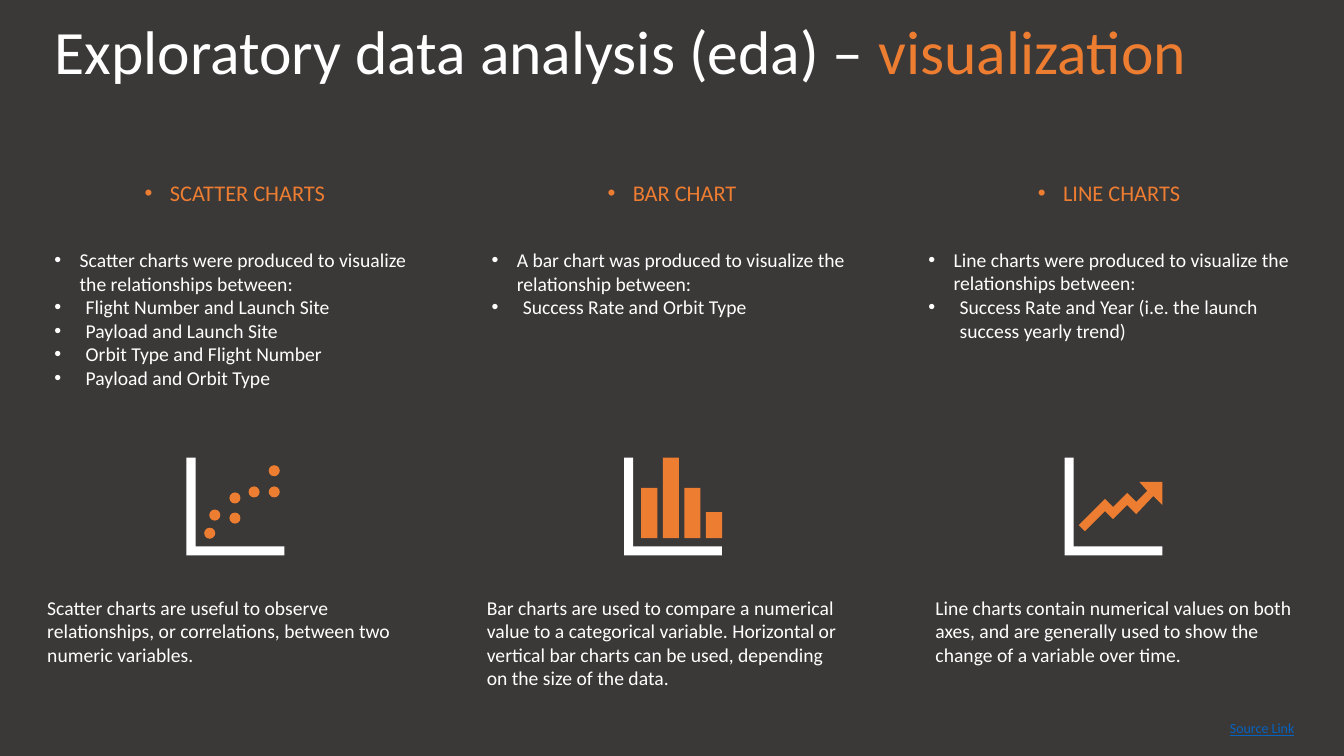
from dataclasses import dataclass

from lxml import etree
from pptx import Presentation
from pptx import util as u
from pptx.dml.color import RGBColor
from pptx.enum import shapes, text
from pptx.oxml.ns import qn

# Content
TITLE = [("Exploratory data analysis (eda) – ", "light"), ("visualization", "accent")]
LINK = "Source Link"
COLUMNS = [
    {"heading": "SCATTER CHARTS",
     "intro": "Scatter charts were produced to visualize the relationships between:",
     "pairs": ["Flight Number and Launch Site", "Payload and Launch Site",
               "Orbit Type and Flight Number", "Payload and Orbit Type"],
     "use": "Scatter charts are useful to observe relationships, or correlations, "
            "between two numeric variables.",
     "icon_left": 1.85, "use_left": 0.37, "use_height": 0.81},
    {"heading": "BAR CHART",
     "intro": "A bar chart was produced to visualize the relationship between:",
     "pairs": ["Success Rate and Orbit Type"],
     "use": "Bar charts are used to compare a numerical value to a categorical variable. "
            "Horizontal or vertical bar charts can be used, depending on the size of the data.",
     "icon_left": 6.19, "use_left": 4.73, "use_height": 1.04},
    {"heading": "LINE CHARTS",
     "intro": "Line charts were produced to visualize the relationships between:",
     "pairs": ["Success Rate and Year (i.e. the launch success yearly trend)"],
     "use": "Line charts contain numerical values on both axes, and are generally used "
            "to show the change of a variable over time.",
     "icon_left": 10.56, "use_left": 9.18, "use_height": 0.81},
]

# Icon drawings, in inches from the icon's top left corner
AXES = [(0.09, 0), (0, 0), (0, 0.97), (0.97, 0.97), (0.97, 0.88), (0.09, 0.88)]
DOT_CENTRES = [(0.23, 0.75), (0.28, 0.57), (0.48, 0.6), (0.48, 0.4),
               (0.67, 0.34), (0.87, 0.34), (0.87, 0.13)]
BAR_HEIGHTS = [0.5, 0.8, 0.5, 0.26]
TREND = [(0.74, 0.24), (0.82, 0.33), (0.71, 0.44), (0.62, 0.35), (0.48, 0.49),
         (0.4, 0.41), (0.14, 0.67), (0.2, 0.73), (0.4, 0.53), (0.48, 0.61),
         (0.62, 0.47), (0.71, 0.56), (0.88, 0.38), (0.97, 0.47), (0.97, 0.24)]


@dataclass(frozen=True)
class Theme:
    font: str = "Calibri"
    background: str = "3B3838"
    light: str = "FFFFFF"
    accent: str = "ED7D31"
    link: str = "0563C1"
    title_size: int = 44
    heading_size: int = 16
    body_size: int = 14
    link_size: int = 10


THEME = Theme()

# Layout
COLUMN_LEFT, COLUMN_STEP, COLUMN_WIDTH = 0.44, 4.335, 3.78
ICON_TOP = 4.54
DOT_SIZE = 0.11
BAR_LEFT, BAR_STEP, BAR_WIDTH, BAR_BASE = 0.17, 0.214, 0.16, 0.8


def colour(role):
    return RGBColor.from_string(getattr(THEME, role))


def place(box, left, top, width, height):
    box.left, box.top, box.width, box.height = map(u.Inches, (left, top, width, height))


def prepare(box, anchor=text.MSO_ANCHOR.TOP, inset=None):
    frame = box.text_frame
    frame.word_wrap = True
    frame.auto_size = text.MSO_AUTO_SIZE.NONE
    frame.vertical_anchor = anchor
    if inset is not None:
        frame.margin_left = frame.margin_right = u.Inches(inset)
        frame.margin_top = frame.margin_bottom = u.Inches(inset)
    return frame


def add_run(paragraph, words, size, role):
    run = paragraph.add_run()
    run.text = words
    font = run.font
    font.name, font.size, font.bold = THEME.font, u.Pt(size), False
    font.color.rgb = colour(role)
    return run


def space(paragraph, align=text.PP_ALIGN.LEFT, line_spacing=1.0):
    paragraph.alignment = align
    paragraph.line_spacing = line_spacing
    paragraph.space_before = paragraph.space_after = u.Pt(0)


def add_bullet(paragraph, indent):
    properties = paragraph._p.get_or_add_pPr()
    properties.set("marL", str(u.Inches(indent)))
    properties.set("indent", str(-u.Inches(indent)))
    etree.SubElement(properties, qn("a:buFont")).set("typeface", "Arial")
    etree.SubElement(properties, qn("a:buChar")).set("char", "•")


def paint(shape, role):
    shape.shadow.inherit = False
    shape.fill.solid()
    shape.fill.fore_color.rgb = colour(role)
    shape.line.fill.background()


def draw_outline(slide, points, left, role):
    # Whole hundredths of an inch
    start, *rest = [(round((left + x) * 100), round((ICON_TOP + y) * 100)) for x, y in points]
    builder = slide.shapes.build_freeform(*start, scale=u.Inches(0.01))
    builder.add_line_segments(rest, close=True)
    paint(builder.convert_to_shape(), role)


def draw_preset(slide, kind, left, x, y, width, height):
    shape = slide.shapes.add_shape(kind, u.Inches(left + x), u.Inches(ICON_TOP + y),
                                   u.Inches(width), u.Inches(height))
    paint(shape, "accent")


def draw_scatter(slide, left):
    for x, y in DOT_CENTRES:
        draw_preset(slide, shapes.MSO_SHAPE.OVAL, left, x - DOT_SIZE / 2,
                    y - DOT_SIZE / 2, DOT_SIZE, DOT_SIZE)


def draw_bars(slide, left):
    for i, height in enumerate(BAR_HEIGHTS):
        draw_preset(slide, shapes.MSO_SHAPE.RECTANGLE, left, BAR_LEFT + i * BAR_STEP,
                    BAR_BASE - height, BAR_WIDTH, height)


def draw_trend(slide, left):
    draw_outline(slide, TREND, left, "accent")


def new_box(slide):
    return slide.shapes.add_textbox(0, 0, 0, 0)


def main():
    deck = Presentation()
    deck.slide_width, deck.slide_height = u.Inches(13.33), u.Inches(7.5)
    slide = deck.slides.add_slide(deck.slide_layouts[4])
    slide.background.fill.solid()
    slide.background.fill.fore_color.rgb = colour("background")

    # Title
    title = slide.shapes.title
    place(title, 0.44, 0.16, 11.97, 0.78)
    title_line = prepare(title).paragraphs[0]
    space(title_line, line_spacing=0.9)
    for words, role in TITLE:
        add_run(title_line, words, THEME.title_size, role)

    # Columns: the layout holds two pairs of body placeholders, the third uses text boxes
    bodies = [body for body in slide.placeholders if body.placeholder_format.idx > 0]
    bodies += [new_box(slide), new_box(slide)]
    icons = [draw_scatter, draw_bars, draw_trend]
    for i, (column, draw_icon) in enumerate(zip(COLUMNS, icons)):
        left = COLUMN_LEFT + i * COLUMN_STEP
        heading, findings = bodies[2 * i:2 * i + 2]

        # Heading
        place(heading, left, 1.45, COLUMN_WIDTH, 0.92)
        heading_line = prepare(heading, text.MSO_ANCHOR.MIDDLE, 0).paragraphs[0]
        space(heading_line, text.PP_ALIGN.CENTER)
        add_bullet(heading_line, 0.25)
        add_run(heading_line, column["heading"], THEME.heading_size, "accent")

        # Charted relationships
        place(findings, left, 2.41, COLUMN_WIDTH, 4.46)
        frame = prepare(findings)
        for n, words in enumerate([column["intro"], *column["pairs"]]):
            item = frame.add_paragraph() if n else frame.paragraphs[0]
            space(item)
            add_bullet(item, 0.31 if n else 0.25)
            add_run(item, words, THEME.body_size, "light")

        # Icon
        draw_outline(slide, AXES, column["icon_left"], "light")
        draw_icon(slide, column["icon_left"])

        # Use of the chart
        use = new_box(slide)
        place(use, column["use_left"], 5.86, COLUMN_WIDTH, column["use_height"])
        use_line = prepare(use).paragraphs[0]
        add_run(use_line, column["use"], THEME.body_size, "light")

    # Link label
    link = new_box(slide)
    place(link, 12.1, 7.09, 0.98, 0.28)
    link_frame = prepare(link)
    link_frame.word_wrap = False
    add_run(link_frame.paragraphs[0], LINK, THEME.link_size, "link").font.underline = True

    deck.save("out.pptx")


if __name__ == "__main__":
    main()
